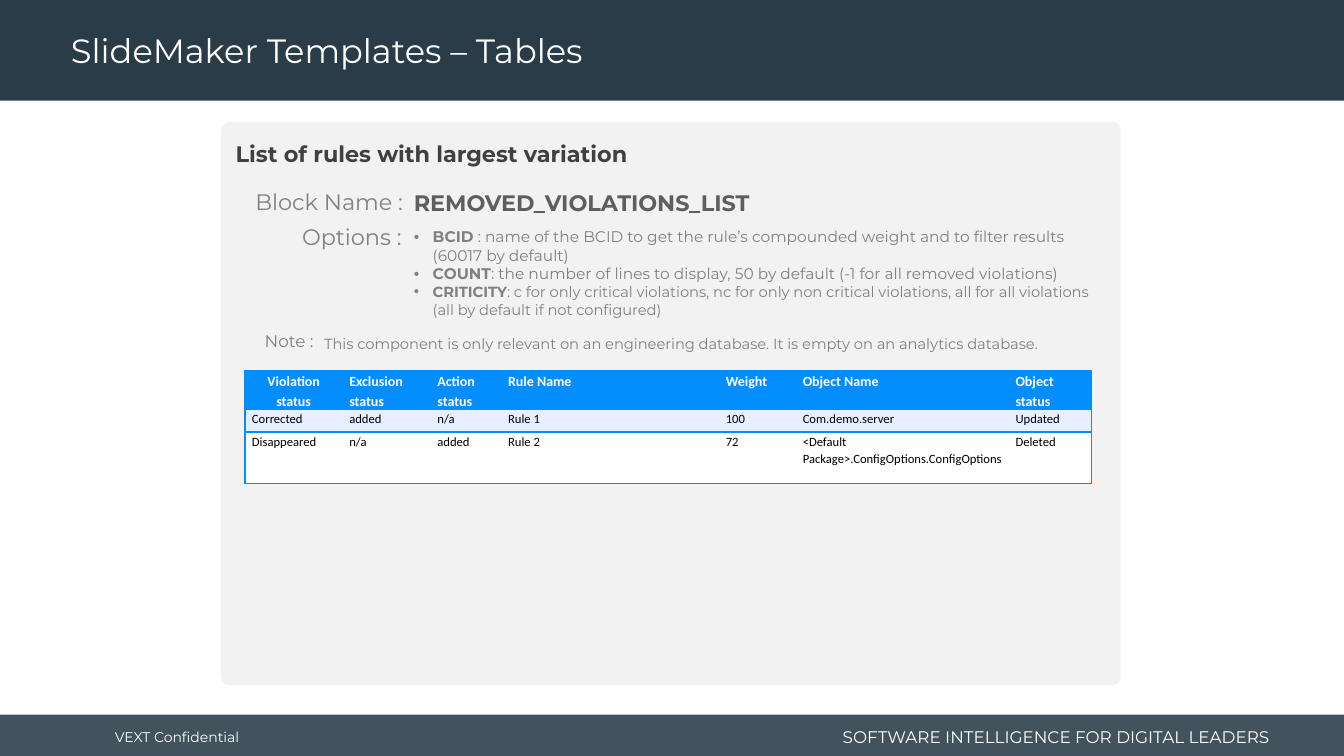
from lxml import etree
from pptx import Presentation
from pptx.dml.color import RGBColor
from pptx.enum import shapes, text
from pptx.oxml import ns
from pptx.util import Pt

NAVY = RGBColor(0x29, 0x3C, 0x47)
WHITE = RGBColor(0xFF, 0xFF, 0xFF)
BLACK = RGBColor(0, 0, 0)
PANEL = RGBColor(0xF2, 0xF2, 0xF2)
DARK = RGBColor(0x40, 0x40, 0x40)
SLATE = RGBColor(0x5E, 0x5E, 0x5E)
GREY = RGBColor(0x80, 0x80, 0x80)
BLUE = RGBColor(0x04, 0x8E, 0xFD)
PALE = RGBColor(0xE7, 0xEE, 0xFF)
FACE = "Montserrat"
PLAIN = "{2D5ABB26-0587-4C30-8999-92F81FD0307C}"  # table style without lines
WIDE, HIGH = 960, 540
LEFT, RIGHT = text.PP_ALIGN.LEFT, text.PP_ALIGN.RIGHT

OPTIONS = [
    ("BCID", "\u00a0: name of the BCID to get the rule’s compounded weight and to "
     "filter results (60017 by default)", 11),
    ("COUNT", ": the number of lines to display, 50 by default "
     "(-1 for all removed violations)", 11),
    ("CRITICITY", ": c for only critical violations, nc for only non critical "
     "violations, all for all violations (all by default if not configured)", 10.5),
]
COLS = [69.5, 63, 50.5, 155.5, 55, 152, 59]
ROWS = [27, 16, 37]
CELLS = [
    ["Violation status", "Exclusion status", "Action status", "Rule Name",
     "Weight", "Object Name", "Object status"],
    ["Corrected", "added", "n/a", "Rule 1", "100", "Com.demo.server", "Updated"],
    ["Disappeared", "n/a", "added", "Rule 2", "72",
     "<Default Package>.ConfigOptions.ConfigOptions", "Deleted"],
]


def sub(parent, tag, **attrs):
    return etree.SubElement(parent, ns.qn(tag), attrs)


def style(para, size, color, bold=False, face=FACE):
    font = para.font
    font.name, font.size, font.bold = face, Pt(size), bold
    font.color.rgb = color


def block(slide, kind, box, color):
    shape = slide.shapes.add_shape(kind, *map(Pt, box))
    shape.shadow.inherit = False
    shape.fill.solid()
    shape.fill.fore_color.rgb = color
    shape.line.fill.background()
    return shape


def frame(slide, box, wrap=True):
    body = slide.shapes.add_textbox(*map(Pt, box)).text_frame
    body.word_wrap = wrap
    return body


def label(slide, box, words, size, color, bold=False, align=LEFT, wrap=True):
    body = frame(slide, box, wrap)
    para = body.paragraphs[0]
    para.text, para.alignment = words, align
    style(para, size, color, bold)
    return body


def header(slide, box, words):
    x, y, w, h = box
    block(slide, shapes.MSO_SHAPE.RECTANGLE, box, NAVY)
    title = slide.shapes.title
    title.left, title.top, title.width, title.height = map(
        Pt, (x + 43.5, y + 3, 690, h - 3))
    body = title.text_frame
    body.auto_size = text.MSO_AUTO_SIZE.NONE
    body.vertical_anchor = text.MSO_ANCHOR.MIDDLE
    para = body.paragraphs[0]
    para.text, para.alignment, para.line_spacing = words, LEFT, 0.9
    style(para, 24, WHITE)
    slide.shapes._spTree.append(title._element)  # title above the band


def footer(slide, box):
    x, y, w, h = box
    band = block(slide, shapes.MSO_SHAPE.RECTANGLE, box, NAVY)
    tint = band._element.spPr.find(ns.qn("a:solidFill"))[0]
    sub(tint, "a:alpha", val="88000")
    notes = [
        label(slide, (x + 75, y + 1.5, 106.5, 29), "VEXT Confidential", 10, WHITE,
              wrap=False),
        label(slide, (x + w - 376, y + 4.5, 330, 23),
              "SOFTWARE INTELLIGENCE FOR DIGITAL LEADERS", 12, WHITE, align=RIGHT),
    ]
    for body in notes:
        body.vertical_anchor = text.MSO_ANCHOR.MIDDLE


def options(slide, box):
    body = frame(slide, box)
    for i, (key, words, size) in enumerate(OPTIONS):
        para = body.paragraphs[0] if i == 0 else body.add_paragraph()
        props = para._p.get_or_add_pPr()
        props.set("marL", str(Pt(13.5)))
        props.set("indent", str(-Pt(13.5)))
        sub(props, "a:buFont", typeface="Arial")
        sub(props, "a:buChar", char="•")
        style(para, size, GREY)
        name = para.add_run()
        name.text, name.font.bold = key, True
        para.add_run().text = words


def edges(cell, sides):
    props = cell._tc.get_or_add_tcPr()
    for side in sides:
        line = sub(props, "a:ln" + side, w=str(Pt(1)))
        sub(sub(line, "a:solidFill"), "a:srgbClr", val=str(BLUE))


def rules(slide, box):
    grid = slide.shapes.add_table(len(ROWS), len(COLS), *map(Pt, box)).table
    grid._tbl.tblPr.find(ns.qn("a:tableStyleId")).text = PLAIN
    for col, wide in zip(grid.columns, COLS):
        col.width = Pt(wide)
    for row, high in zip(grid.rows, ROWS):
        row.height = Pt(high)
    fills = [BLUE, PALE, WHITE]
    for r, line in enumerate(CELLS):
        for c, words in enumerate(line):
            cell = grid.cell(r, c)
            first, last = c == 0, c == len(COLS) - 1
            edges(cell, "L" * first + "R" * last + "TB")
            cell.fill.solid()
            cell.fill.fore_color.rgb = fills[r]
            cell.margin_left = cell.margin_right = Pt(5)
            cell.margin_top = cell.margin_bottom = 0
            para = cell.text_frame.paragraphs[0]
            para.text, para.line_spacing = words, 1.15
            if r == 0:
                style(para, 10, WHITE, True, "Calibri")
                if first:
                    para.alignment = text.PP_ALIGN.CENTER
            else:
                style(para, 9, BLACK, face="Calibri")


def panel(slide, box):
    x, y, w, h = box
    card = block(slide, shapes.MSO_SHAPE.ROUNDED_RECTANGLE, box, PANEL)
    card.adjustments[0] = 0.015
    # Heading and block name
    head = label(slide, (x - 4, y + 9.5, w, 26.5),
                 "List of rules with largest variation", 16, DARK, True)
    head.margin_left = head.margin_right = Pt(14.4)
    label(slide, (x + 130.5, y + 44.5, 522, 26.5), "REMOVED_VIOLATIONS_LIST",
          16, SLATE, True)
    # Captions at the left
    for words, dx, dy, wide, size in [("Block Name :", 17, 43.5, 120, 16),
                                      ("Options :", 49, 69, 87, 16),
                                      ("Note :", 22.5, 145.5, 50.5, 12)]:
        label(slide, (x + dx, y + dy, wide, 26.5), words, size, GREY,
              align=RIGHT, wrap=False)
    # Options, note and table
    options(slide, (x + 130.5, y + 72, 514, 72.5))
    label(slide, (x + 66.5, y + 148.5, 551, 21),
          "This component is only relevant on an engineering database. "
          "It is empty on an analytics database.", 10.5, GREY)
    rules(slide, (x + 17, y + 178, sum(COLS), sum(ROWS)))


def main():
    deck = Presentation()
    deck.slide_width, deck.slide_height = Pt(WIDE), Pt(HIGH)
    slide = deck.slides.add_slide(deck.slide_layouts[5])
    footer(slide, (0, 510.5, WIDE, HIGH - 510.5))
    header(slide, (0, 0, WIDE, 72), "SlideMaker Templates – Tables")
    panel(slide, (158, 87, 642.5, 402.5))
    deck.save("out.pptx")


if __name__ == "__main__":
    main()
